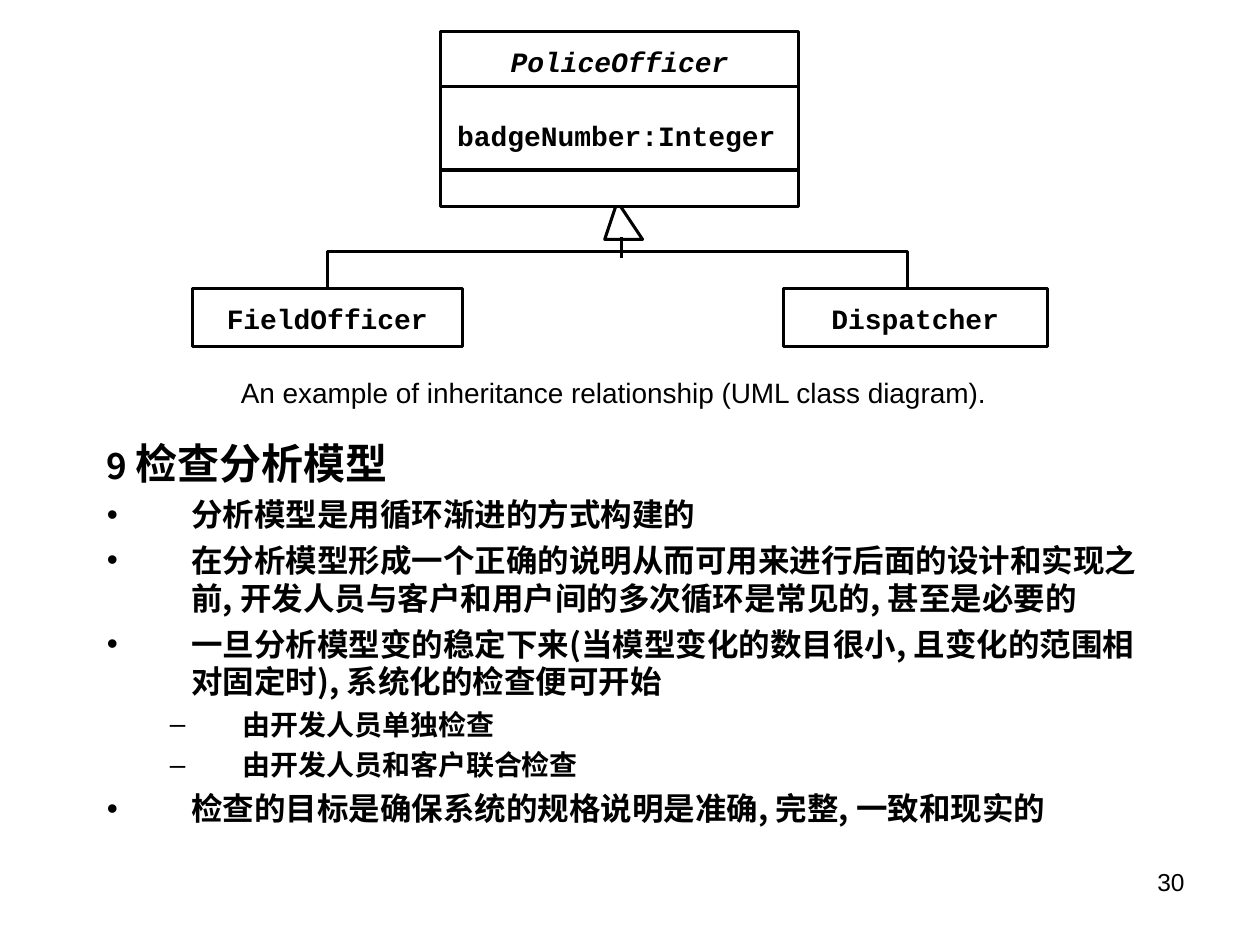
from dataclasses import dataclass

from lxml import etree
from pptx import Presentation
from pptx import util as u
from pptx.dml.color import RGBColor
from pptx.enum import shapes, text
from pptx.oxml.ns import qn

# The slide is a grid of 100 columns by 75 rows
COLUMNS, ROWS = 100, 75
presentation = Presentation()
presentation.slide_width, presentation.slide_height = u.Inches(10), u.Inches(7.5)
CELL = presentation.slide_width / COLUMNS

BLACK, WHITE = "000000", "FFFFFF"
SANS, MONO, CJK = "Arial", "Courier New", "Noto Sans CJK SC"
LINE_WIDTH = u.Pt(1.75)
CHARACTER_WIDTH = 4 / 3  # columns taken by one 16 pt Courier New character


@dataclass
class Compartment:
    height: float
    label: str = ""
    label_drop: float = 1
    italic: bool = False
    fill: str = ""
    label_shift: float = 0


@dataclass
class ClassBox:
    left: float
    top: float
    width: float
    compartments: list[Compartment]


@dataclass
class Level:
    depth: int
    size: float
    bullet: str
    margin: float
    hanging: float
    space_before: float


HEADING = Level(0, 24, "", 6.7, 6.7, 6)
POINT = Level(0, 18, "•", 6.7, 6.7, 4.5)
SUBPOINT = Level(1, 16, "–", 10.8, 5.8, 4)

FIELD_OFFICER = ClassBox(15.3, 22.9, 21.4, [Compartment(4.6, "FieldOfficer")])
DISPATCHER = ClassBox(62.2, 22.9, 20.9, [Compartment(4.6, "Dispatcher")])
POLICE_OFFICER = ClassBox(35, 2.5, 28.4, [
    Compartment(4.4, "PoliceOfficer", italic=True),
    Compartment(6.6, "badgeNumber:Integer", label_drop=2.5, label_shift=-0.25),
    Compartment(2.9, fill=WHITE),
])

OUTLINE = [
    (HEADING, [("9 ", 20), ("检查分析模型", 24)]),
    (POINT, [("分析模型是用循环渐进的方式构建的", 18)]),
    (POINT, [("在分析模型形成一个正确的说明从而可用来进行后面的设计和实现之前, "
              "开发人员与客户和用户间的多次循环是常见的, 甚至是必要的", 18)]),
    (POINT, [("一旦分析模型变的稳定下来(当模型变化的数目很小, "
              "且变化的范围相对固定时), 系统化的检查便可开始", 18)]),
    (SUBPOINT, [("由开发人员单独检查", 16)]),
    (SUBPOINT, [("由开发人员和客户联合检查", 16)]),
    (POINT, [("检查的目标是确保系统的规格说明是准确, 完整, 一致和现实的", 18)]),
]


def grid(cells: float) -> int:
    return round(cells * CELL)


def color(value: str) -> RGBColor:
    return RGBColor.from_string(value)


def style_line(line) -> None:
    line.color.rgb = color(BLACK)
    line.width = LINE_WIDTH


def style_run(run, font: str, size: float, bold=False, italic=False) -> None:
    run.font.name, run.font.size = font, u.Pt(size)
    run.font.bold, run.font.italic = bold, italic
    run.font.color.rgb = color(BLACK)
    if font == CJK:
        etree.SubElement(run.font._element, qn("a:ea"), typeface=font)


def add_text(parent, left, top, width, height, content="", font=SANS, size=16,
             align=text.PP_ALIGN.LEFT, anchor=text.MSO_ANCHOR.TOP,
             bold=False, italic=False, tight=False):
    box = parent.add_textbox(grid(left), grid(top), grid(width), grid(height))
    frame = box.text_frame
    frame.word_wrap = not tight
    frame.vertical_anchor = anchor
    if tight:
        frame.margin_left = frame.margin_right = 0
        frame.margin_top = frame.margin_bottom = 0
        frame.auto_size = text.MSO_AUTO_SIZE.SHAPE_TO_FIT_TEXT
    if content:
        paragraph = frame.paragraphs[0]
        paragraph.text = content
        paragraph.alignment = align
        style_run(paragraph.runs[0], font, size, bold, italic)
    return frame


def add_class(slide, box: ClassBox) -> None:
    group = slide.shapes.add_group_shape().shapes
    top = box.top
    for part in box.compartments:
        shape = group.add_shape(shapes.MSO_SHAPE.RECTANGLE, grid(box.left), grid(top),
                                grid(box.width), grid(part.height))
        shape.shadow.inherit = False
        style_line(shape.line)
        if part.fill:
            shape.fill.solid()
            shape.fill.fore_color.rgb = color(part.fill)
        else:
            shape.fill.background()
        if part.label:
            width = len(part.label) * CHARACTER_WIDTH
            left = box.left + (box.width - width) / 2 + part.label_shift
            add_text(group, left, top + part.label_drop, width, 2.7, part.label,
                     MONO, bold=True, italic=part.italic, tight=True)
        top += part.height


def add_outline_shape(slide, points: list[tuple[float, float]], close: bool) -> None:
    builder = slide.shapes.build_freeform(*points[0], scale=CELL)
    builder.add_line_segments(points[1:], close=close)
    shape = builder.convert_to_shape()
    shape.shadow.inherit = False
    shape.fill.background()
    style_line(shape.line)


def add_line(slide, start: tuple[float, float], end: tuple[float, float]) -> None:
    connector = slide.shapes.add_connector(
        shapes.MSO_CONNECTOR.STRAIGHT, *(grid(value) for value in start + end))
    style_line(connector.line)
    etree.SubElement(connector._element.spPr, qn("a:effectLst"))


def add_outline_paragraph(paragraph, level: Level, parts: list[tuple[str, float]]) -> None:
    paragraph.level = level.depth
    paragraph.space_before = u.Pt(level.space_before)
    paragraph.line_spacing = u.Pt(round(level.size * 1.2, 1))
    for content, size in parts:
        run = paragraph.add_run()
        run.text = content
        style_run(run, CJK, size, bold=True)
    properties = paragraph._p.get_or_add_pPr()
    properties.set("marL", str(grid(level.margin)))
    properties.set("indent", str(-grid(level.hanging)))
    if level.bullet:
        bullet_color = etree.SubElement(properties, qn("a:buClr"))
        etree.SubElement(bullet_color, qn("a:srgbClr"), val=BLACK)
        etree.SubElement(properties, qn("a:buFont"), typeface=SANS)
        etree.SubElement(properties, qn("a:buChar"), char=level.bullet)


def main() -> None:
    slide = presentation.slides.add_slide(presentation.slide_layouts[6])

    # Page number
    add_text(slide.shapes, 71.7, 68.3, 23.3, 5.2, "30", size=14,
             align=text.PP_ALIGN.RIGHT)

    # Subclasses, inheritance arrow and tree, then the superclass on top
    add_class(slide, FIELD_OFFICER)
    add_class(slide, DISPATCHER)
    add_outline_shape(slide, [(49.3, 18.8), (47.6, 18.8), (49.3, 16.1), (50.8, 18.8)], True)
    add_outline_shape(slide, [(26, 22.9), (26, 20.5), (72.4, 20.5), (72.4, 22.7)], False)
    add_line(slide, (49.3, 20.5), (49.3, 18.8))
    add_class(slide, POLICE_OFFICER)

    # Caption
    add_text(slide.shapes, 10.8, 29.2, 75.8, 3.9,
             "An example of inheritance relationship (UML class diagram).",
             align=text.PP_ALIGN.CENTER, anchor=text.MSO_ANCHOR.MIDDLE)

    # Outline on checking the analysis model
    frame = add_text(slide.shapes, 7.5, 34.2, 84.2, 35)
    for index, (level, parts) in enumerate(OUTLINE):
        paragraph = frame.add_paragraph() if index else frame.paragraphs[0]
        add_outline_paragraph(paragraph, level, parts)

    presentation.save("out.pptx")


if __name__ == "__main__":
    main()
